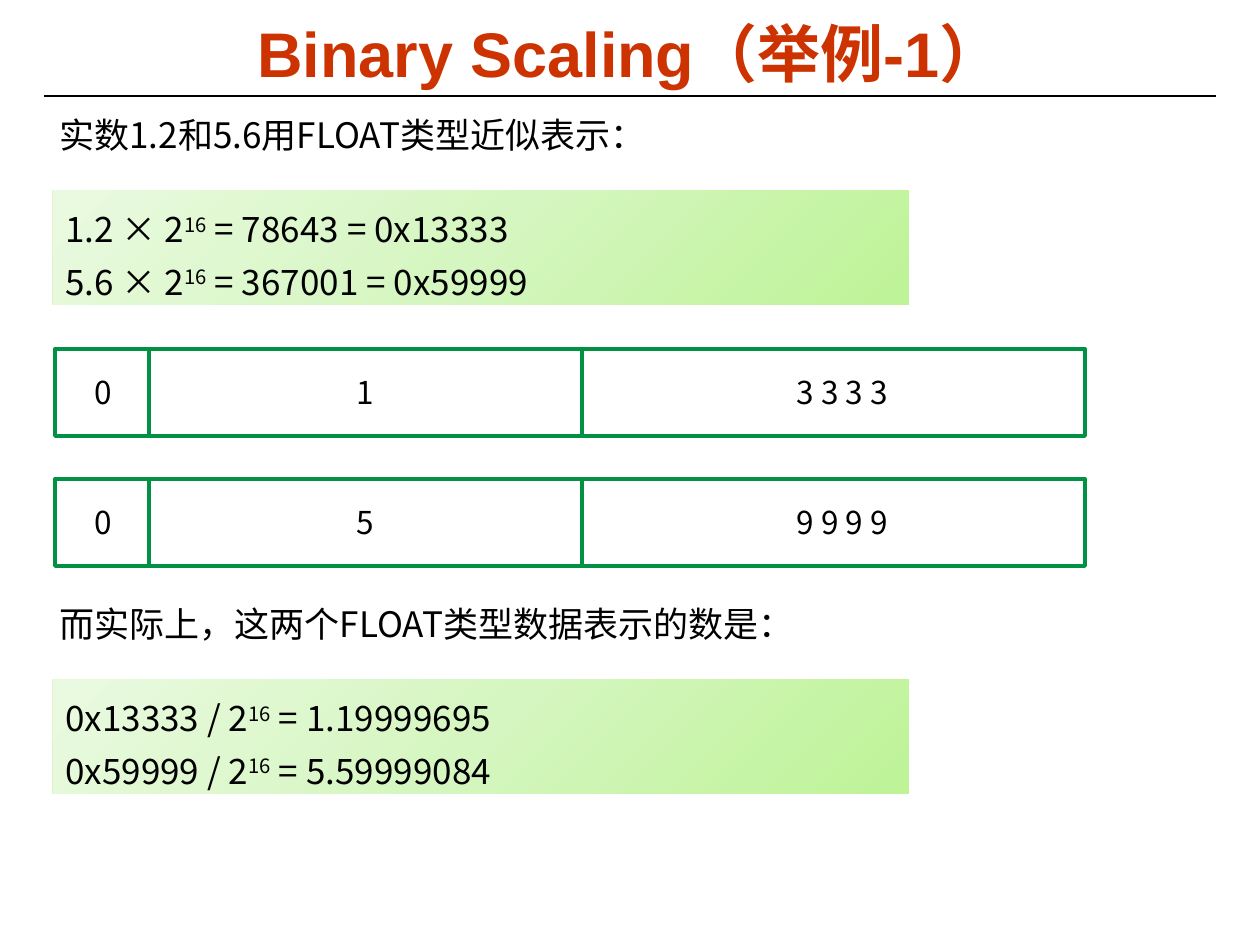
from copy import deepcopy

from lxml import etree
from pptx import Presentation
from pptx.dml.color import RGBColor
from pptx.enum.shapes import MSO_CONNECTOR, MSO_SHAPE
from pptx.enum.text import MSO_ANCHOR, MSO_AUTO_SIZE, PP_ALIGN
from pptx.oxml.ns import qn
from pptx.util import Emu, Pt

SCALE = 914400 / 126  # EMU per px
CJK = "Noto Sans CJK SC"
GREEN, BLACK = "009242", "000000"


def px(*lengths):
    return [Emu(round(n * SCALE)) for n in lengths]


def color(hex_code):
    return RGBColor.from_string(hex_code)


prs = Presentation()
prs.slide_width, prs.slide_height = px(1260, 945)
slide = prs.slides.add_slide(prs.slide_layouts[6])
shapes = slide.shapes
texts = []  # (shape, lines, size, alignment, line spacing); ^ marks a superscript
rules = []  # (x1, y1, x2, y2, color, width)

# Title and the rule under it
title = shapes.add_textbox(*px(63, 14, 1134, 77))
rules.append((44, 96, 1216, 96, BLACK, 0.75))

# Captions, each with its formulas on a gradient panel
sections = [
    (107, "实数1.2和5.6用FLOAT类型近似表示：",
     ["1.2 × 2^16^ = 78643 = 0x13333", "5.6 × 2^16^ = 367001 = 0x59999"]),
    (596, "而实际上，这两个FLOAT类型数据表示的数是：",
     ["0x13333 / 2^16^ = 1.19999695", "0x59999 / 2^16^ = 5.59999084"]),
]
for top, caption, formulas in sections:
    caption_box = shapes.add_textbox(*px(47, top, 900, 55))
    texts.append((caption_box, [caption], 20, PP_ALIGN.LEFT, None))

    panel = shapes.add_shape(MSO_SHAPE.RECTANGLE, *px(53, top + 84, 856, 114))
    panel.shadow.inherit = False
    panel.line.fill.background()
    panel.fill.gradient()
    panel.fill.gradient_angle = 135
    first_stop = panel.fill._fill._gradFill.find(qn("a:gsLst"))[0]
    first_stop.addnext(deepcopy(first_stop))
    stops = [(0, "BEF397"), (0.5, "D5F6C0"), (1, "EAFAE0")]
    for stop, (position, shade) in zip(panel.fill.gradient_stops, stops):
        stop.position = position
        stop.color.rgb = color(shade)
    texts.append((panel, formulas, 20, PP_ALIGN.LEFT, Pt(30)))

# Registers: sign, integer and fraction fields
fields = [(53, 100), (285, 161), (762, 161)]
for top, values in [(349, ["0", "1", "3 3 3 3"]), (479, ["0", "5", "9 9 9 9"])]:
    register = shapes.add_shape(MSO_SHAPE.RECTANGLE, *px(55, top, 1030, 87))
    register.shadow.inherit = False
    register.fill.background()
    register.line.color.rgb = color(GREEN)
    register.line.width = Pt(2.25)
    for divider in (149, 582):
        rules.append((divider, top, divider, top + 87, GREEN, 2.25))
    for (left, width), value in zip(fields, values):
        field = shapes.add_textbox(*px(left, top + 18, width, 50))
        texts.append((field, [value], 18, PP_ALIGN.CENTER, None))

# Rules and dividers
for x1, y1, x2, y2, stroke, weight in rules:
    rule = shapes.add_connector(MSO_CONNECTOR.STRAIGHT, *px(x1, y1, x2, y2))
    rule.line.color.rgb = color(stroke)
    rule.line.width = Pt(weight)
    etree.SubElement(rule._element.spPr, qn("a:effectLst"))

# Wording
texts.append((title, ["Binary Scaling（举例-1）"], 36, PP_ALIGN.CENTER, None))
for holder, lines, size, alignment, spacing in texts:
    is_title = holder is title
    frame = holder.text_frame
    frame.word_wrap = True
    frame.auto_size = MSO_AUTO_SIZE.NONE if is_title else MSO_AUTO_SIZE.SHAPE_TO_FIT_TEXT
    frame.vertical_anchor = MSO_ANCHOR.MIDDLE if is_title else MSO_ANCHOR.TOP
    for number, line in enumerate(lines):
        paragraph = frame.add_paragraph() if number else frame.paragraphs[0]
        paragraph.alignment = alignment
        if spacing:
            paragraph.line_spacing = spacing
        for part, wording in enumerate(line.split("^")):
            run = paragraph.add_run()
            run.text = wording
            run.font.size = Pt(size)
            run.font.bold = is_title
            run.font.color.rgb = color("CC3300" if is_title else BLACK)
            run.font.name = "Arial" if is_title else CJK
            properties = run._r.get_or_add_rPr()
            etree.SubElement(properties, qn("a:ea"), typeface=CJK)
            if part % 2:
                properties.set("baseline", "30000")

prs.save("out.pptx")
